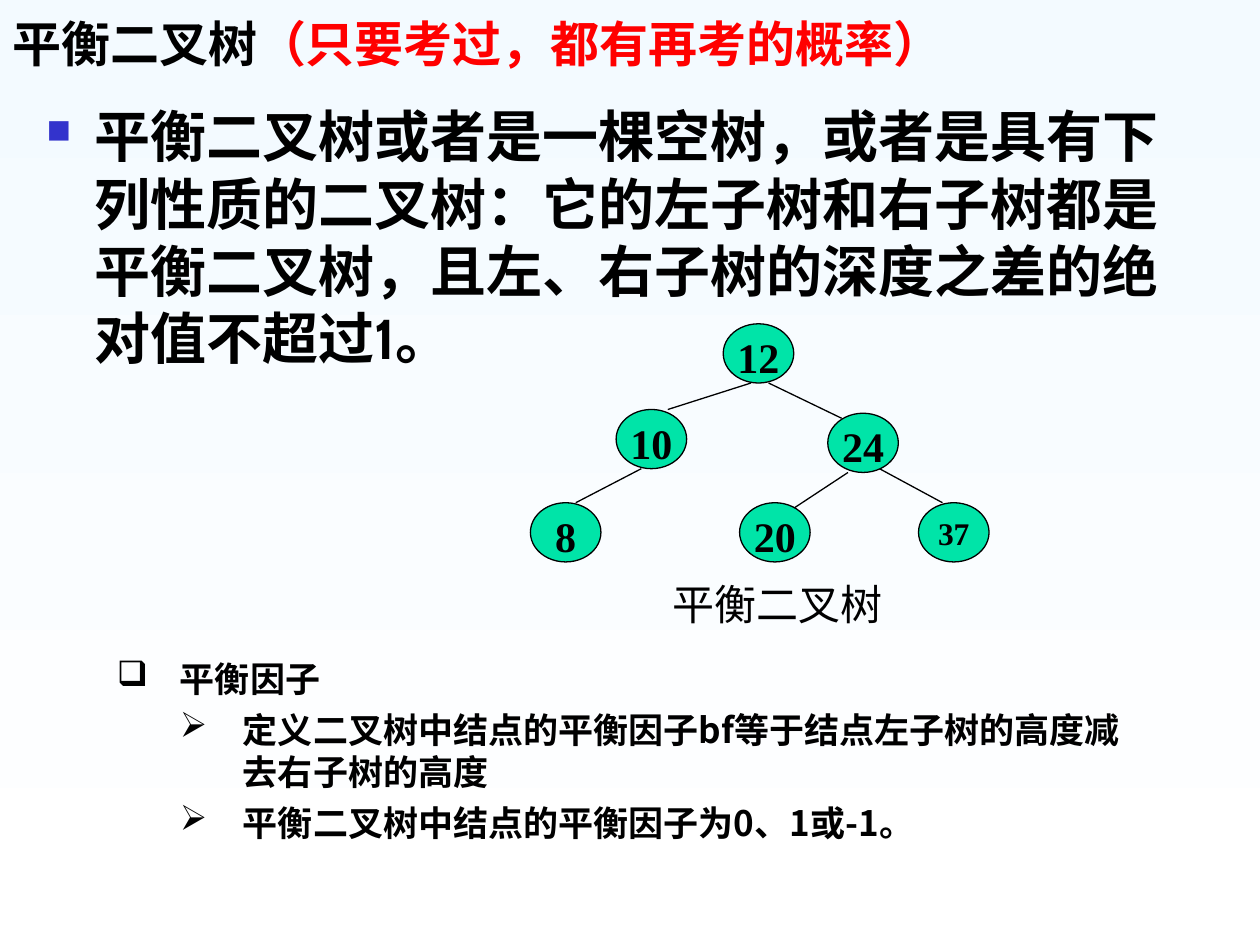
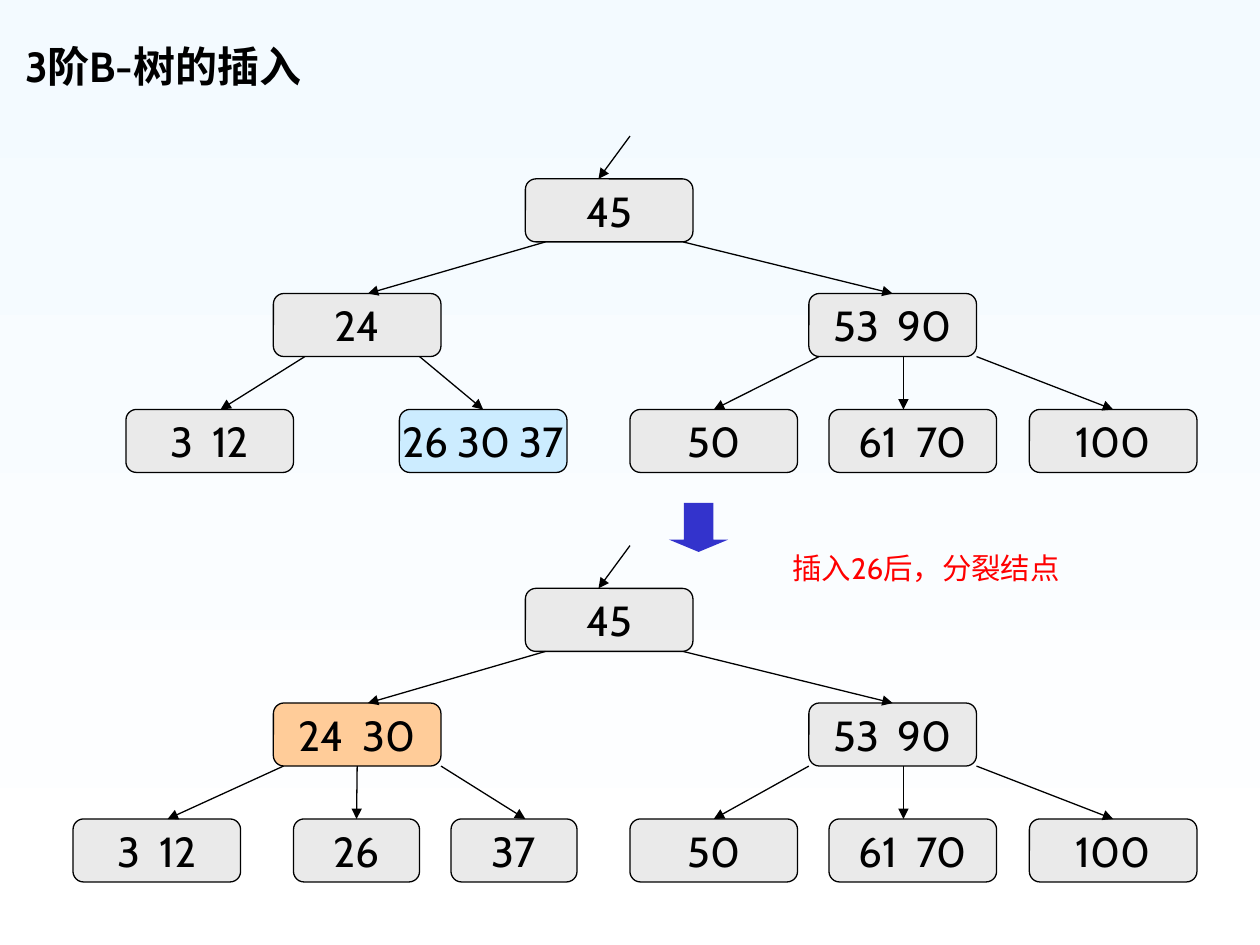
from lxml import etree
from pptx import Presentation
from pptx import util as u
from pptx.dml.color import RGBColor
from pptx.enum import shapes, text
from pptx.oxml import ns

BLACK = RGBColor(0x00, 0x00, 0x00)
RED = RGBColor(0xFF, 0x00, 0x00)
BLUE = RGBColor(0x33, 0x33, 0xCC)
GREEN = RGBColor(0x00, 0xE4, 0xA8)
GRAY = RGBColor(0xEA, 0xEA, 0xEA)
LIGHT_BLUE = RGBColor(0xCC, 0xEC, 0xFF)
ORANGE = RGBColor(0xFF, 0xCC, 0x99)
SKY = RGBColor(0xF3, 0xFA, 0xFF)
WHITE = RGBColor(0xFF, 0xFF, 0xFF)

CABIN, CJK, TIMES = "Cabin", "Noto Sans CJK SC", "Times New Roman"
LINE_WIDTH = u.Pt(0.75)
WIDE_GAP = 530  # extra width of the space between two keys, in 1/100 pt

OVAL_WIDTH, OVAL_HEIGHT = 0.56, 0.47
NODE_WIDTH, NODE_HEIGHT = 1.33, 0.5
NODE_ROWS = (0.34, 1.25, 2.17)


def add_element(parent, tag, **attributes):
    element = etree.SubElement(parent, ns.qn(tag))
    for key, value in attributes.items():
        element.set(key, value)
    return element


def set_values(target, values):
    for key, value in values.items():
        setattr(target, key, value)


def place(left, top, width, height):
    return [u.Inches(value) for value in (left, top, width, height)]


def add_run(paragraph, words, size, font=CABIN, color=BLACK, bold=False):
    run = paragraph.add_run()
    run.text = words
    run.font.color.rgb = color
    set_values(run.font, {"name": font, "size": u.Pt(size), "bold": bold})
    add_element(run.font._element, "a:ea", typeface=CJK)
    return run


def add_text(slide, box, runs, **frame_values):
    """Each run is a tuple of words and a dict of its format."""
    frame = slide.shapes.add_textbox(*place(*box)).text_frame
    set_values(frame, {"word_wrap": True, **frame_values})
    for words, style in runs:
        add_run(frame.paragraphs[0], words, **style)
    return frame


def add_bullet(paragraph, mark, color, indent, hanging, percent=100):
    properties = paragraph._p.get_or_add_pPr()
    properties.set("marL", str(u.Inches(indent)))
    properties.set("indent", str(-u.Inches(hanging)))
    add_element(add_element(properties, "a:buClr"), "a:srgbClr", val=str(color))
    add_element(properties, "a:buSzPct", val=str(percent * 1000))
    add_element(properties, "a:buChar", char=mark)


def add_shape(slide, kind, box, fill, outlined=True):
    shape = slide.shapes.add_shape(kind, *place(*box))
    shape.shadow.inherit = False
    shape.fill.solid()
    shape.fill.fore_color.rgb = fill
    if outlined:
        shape.line.color.rgb = BLACK
        shape.line.width = LINE_WIDTH
    else:
        shape.line.fill.background()
    return shape


def add_line(slide, start, end, arrow=False):
    points = [u.Inches(value) for value in (*start, *end)]
    line = slide.shapes.add_connector(shapes.MSO_CONNECTOR.STRAIGHT, *points)
    line.line.color.rgb = BLACK
    line.line.width = LINE_WIDTH
    if arrow:
        add_element(line.line._get_or_add_ln(), "a:tailEnd", type="triangle")
    add_element(line._element.spPr, "a:effectLst")
    return line


def add_slide(presentation):
    slide = presentation.slides.add_slide(presentation.slide_layouts[6])
    fill = slide.background.fill
    fill.gradient()
    fill.gradient_angle = 270
    for stop, color in zip(fill.gradient_stops, (SKY, WHITE)):
        stop.color.rgb = color
    return slide


def add_title(slide, box, runs):
    add_text(slide, box, runs, vertical_anchor=text.MSO_ANCHOR.BOTTOM)


# Slide 1: definition, small tree, balance factor

def add_definition(slide, box):
    frame = add_text(slide, box, [])
    paragraph = frame.paragraphs[0]
    add_bullet(paragraph, "■", BLUE, 0.38, 0.38, percent=60)
    add_run(paragraph, "平衡二叉树或者是一棵空树，或者是具有下列性质的二叉树："
            "它的左子树和右子树都是平衡二叉树，且左、右子树的深度之差的绝对值不超过1。",
            32, bold=True)


def add_balanced_tree(slide, left, top):
    # Key, offset of the oval, text size
    ovals = [("12", 1.53, 0, 24), ("10", 0.68, 0.68, 24), ("24", 2.36, 0.71, 24),
             ("8", 0, 1.42, 24), ("20", 1.66, 1.42, 24), ("37", 3.08, 1.42, 18)]
    branches = [((1.75, 0.47), (1.09, 0.68)), ((1.89, 0.47), (2.47, 0.75)),
                ((0.88, 1.15), (0.36, 1.42)), ((2.52, 1.18), (2.05, 1.49)),
                ((2.77, 1.15), (3.27, 1.42))]
    for start, end in branches:
        add_line(slide, (left + start[0], top + start[1]),
                 (left + end[0], top + end[1]))
    for key, x, y, size in ovals:
        box = (left + x, top + y, OVAL_WIDTH, OVAL_HEIGHT)
        oval = add_shape(slide, shapes.MSO_SHAPE.OVAL, box, GREEN)
        frame = oval.text_frame
        set_values(frame, {"margin_left": 0, "margin_right": 0, "margin_bottom": 0,
                           "margin_top": u.Inches(0.12), "word_wrap": True,
                           "vertical_anchor": text.MSO_ANCHOR.TOP})
        paragraph = frame.paragraphs[0]
        set_values(paragraph, {"alignment": text.PP_ALIGN.CENTER,
                               "line_spacing": 0.64})
        add_run(paragraph, key, size, TIMES, bold=True)
    # Caption
    frame = add_text(slide, (left + 0.71, top + 1.97, 2.5, 0.5),
                     [("平衡二叉树", {"size": 24})])
    frame.paragraphs[0].alignment = text.PP_ALIGN.CENTER


def add_balance_factor(slide, box):
    lines = [(0, "❑", "平衡因子"),
             (1, "➢", "定义二叉树中结点的平衡因子bf等于结点左子树的高度减去右子树的高度"),
             (1, "➢", "平衡二叉树中结点的平衡因子为0、1或-1。")]
    frame = add_text(slide, box, [])
    for index, (level, mark, words) in enumerate(lines):
        paragraph = frame.add_paragraph() if index else frame.paragraphs[0]
        add_bullet(paragraph, mark, BLACK, 0.5 + 0.5 * level, 0.5)
        paragraph.level = level
        if index:
            paragraph.space_before = u.Pt(5)
        add_run(paragraph, words, 20, CJK, bold=True)


def build_balanced_slide(presentation):
    slide = add_slide(presentation)
    style = {"size": 28, "font": CJK, "bold": True}
    add_title(slide, (0, 0, 8.52, 0.62),
              [("平衡二叉树", style),
               ("（只要考过，都有再考的概率）", {**style, "color": RED})])
    add_definition(slide, (0.27, 0.76, 9.36, 5.12))
    add_balance_factor(slide, (0.83, 5.17, 8.33, 1.69))
    add_balanced_tree(slide, 4.21, 2.57)


# Slide 2: insertion into a B-tree, before and after the split

def add_node(slide, keys, box, fill):
    node = add_shape(slide, shapes.MSO_SHAPE.ROUNDED_RECTANGLE, box, fill)
    frame = node.text_frame
    set_values(frame, {"word_wrap": False,
                       "vertical_anchor": text.MSO_ANCHOR.MIDDLE})
    paragraph = frame.paragraphs[0]
    paragraph.alignment = text.PP_ALIGN.CENTER
    for index, key in enumerate(keys.split()):
        if index:
            gap = add_run(paragraph, " ", 24)
            if len(keys.split()) == 2:
                gap.font._element.set("spc", str(WIDE_GAP))
        add_run(paragraph, key, 24)
    return node


def is_middle(node, x):
    return abs(node.left + node.width / 2 - u.Inches(x)) < u.Inches(0.02)


def add_b_tree(slide, left, top, inner, leaves, inner_arrows, right_start):
    """Draw the common nodes plus the left subtree that is passed in."""
    # Name: keys, x, row, width, fill
    layout = {"root": ("45", 3.67, 0, NODE_WIDTH, GRAY),
              "inner": (inner[0], 1.67, 1, NODE_WIDTH, inner[1]),
              "right": ("53 90", 5.92, 1, NODE_WIDTH, GRAY)}
    right_leaves = [("50", 4.5), ("61 70", 6.08), ("100", 7.67)]
    for keys, x in right_leaves:
        layout[keys] = (keys, x, 2, NODE_WIDTH, GRAY)
    for keys, x, width, fill in leaves:
        layout[keys] = (keys, x, 2, width, fill)
    nodes = {name: add_node(slide, keys,
                            (left + x, top + NODE_ROWS[row], width, NODE_HEIGHT), fill)
             for name, (keys, x, row, width, fill) in layout.items()}

    # Parent, child, x at the start, x at the end
    arrows = [("root", "inner", 3.83, 2.42), ("root", "right", 4.92, 6.58),
              ("right", "50", right_start, 5.17), ("right", "61 70", 6.67, 6.67),
              ("right", "100", 7.25, 8.33)]
    arrows += [("inner", leaf[0], *ends) for leaf, ends in zip(leaves, inner_arrows)]
    add_line(slide, (left + 4.5, top), (left + 4.25, top + NODE_ROWS[0]), arrow=True)
    for parent, child, start, end in arrows:
        start, end = left + start, left + end
        bottom = top + NODE_ROWS[layout[parent][2]] + NODE_HEIGHT
        line = add_line(slide, (start, bottom),
                        (end, top + NODE_ROWS[layout[child][2]]), arrow=True)
        if is_middle(nodes[parent], start):
            line.begin_connect(nodes[parent], 2)
        if is_middle(nodes[child], end):
            line.end_connect(nodes[child], 0)


def add_split_step(slide, left, top):
    arrow = add_shape(slide, shapes.MSO_SHAPE.DOWN_ARROW, (left, top, 0.47, 0.39),
                      BLUE, outlined=False)
    arrow.adjustments[0], arrow.adjustments[1] = 0.5, 0.25
    add_text(slide, (left + 0.88, top + 0.33, 3.51, 0.42),
             [("插入26后，分裂结点", {"size": 16.8, "color": RED})])


def build_insertion_slide(presentation):
    slide = add_slide(presentation)
    add_title(slide, (0.1, 0, 8.52, 0.77),
              [("3阶B-树的插入", {"size": 24, "bold": True})])
    add_b_tree(slide, 0.5, 1.08, ("24", GRAY),
               [("3 12", 0.5, NODE_WIDTH, GRAY),
                ("26 30 37", 2.67, NODE_WIDTH, LIGHT_BLUE)],
               [(1.92, 1.25), (2.83, 3.33)], right_start=6)
    add_b_tree(slide, 0.5, 4.33, ("24 30", ORANGE),
               [("3 12", 0.08, NODE_WIDTH, GRAY), ("26", 1.83, 1, GRAY),
                ("37", 3.08, 1, GRAY)],
               [(1.75, 0.83), (2.33, 2.33), (3, 3.67)], right_start=5.92)
    add_split_step(slide, 5.31, 3.99)


def main():
    presentation = Presentation()
    presentation.slide_width = u.Inches(10)
    presentation.slide_height = u.Inches(7.5)
    build_balanced_slide(presentation)
    build_insertion_slide(presentation)
    presentation.save("out.pptx")


if __name__ == "__main__":
    main()
